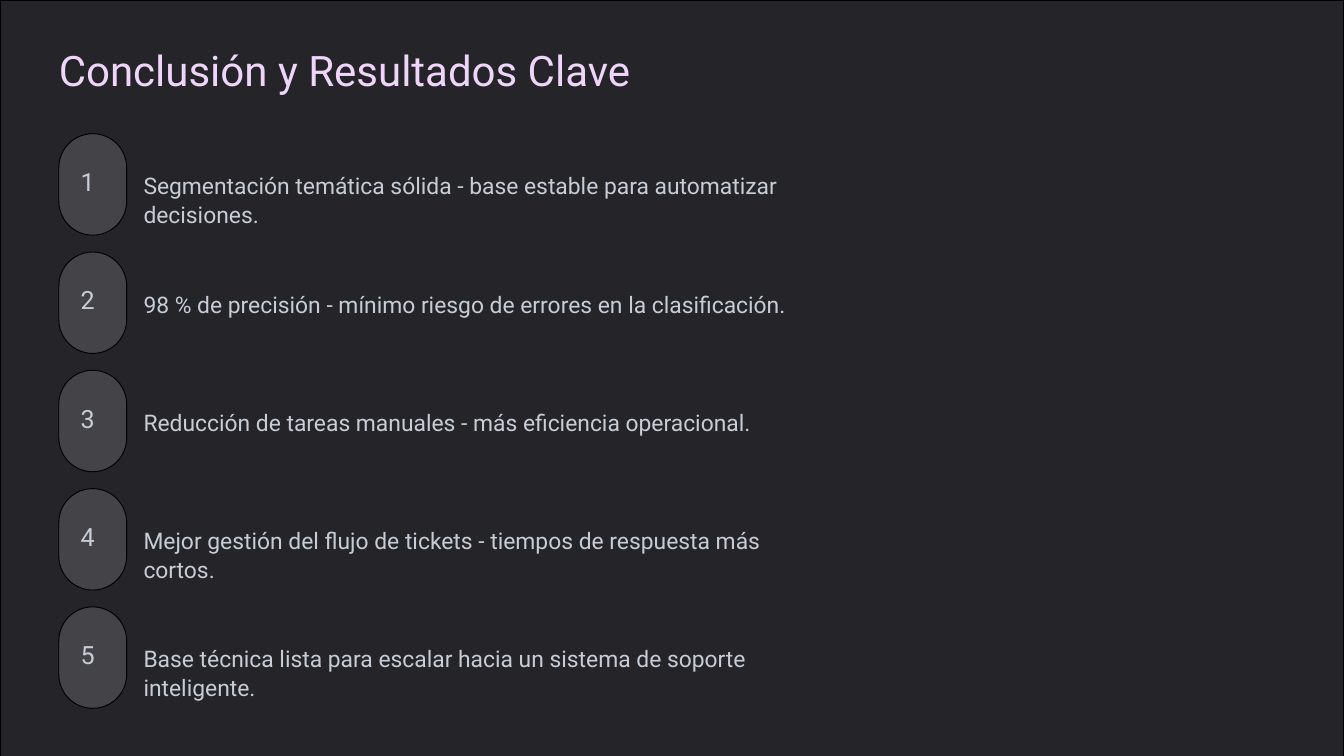
import pptx
import pptx.util
import pptx.dml.color
import pptx.enum.shapes
import pptx.enum.text
from dataclasses import dataclass

Pt = pptx.util.Pt
Kind = pptx.enum.shapes.MSO_SHAPE
SCALE = 9525  # EMU in one px
WIDE, HIGH = 1920, 1080


@dataclass(frozen=True)
class Theme:
    back: str = "181719"
    panel: str = "242429"
    pill: str = "434348"
    edge: str = "000000"
    title: str = "EFD5FA"
    body: str = "C7CDD6"
    font: str = "Roboto"
    big: tuple = (45, 56.2)  # type size and line height in points
    digit: tuple = (26.9, 26.9)
    item: tuple = (24.5, 30.6)


def px(*vals):
    return [val * SCALE for val in vals]


def paint(fill, tone):
    fill.solid()
    fill.fore_color.rgb = pptx.dml.color.RGBColor.from_string(tone)


def apply(part, form):
    for name, val in form.items():
        setattr(part, name, val)


class Deck:
    def __init__(self, theme, slide):
        self.theme, self.slide = theme, slide
        paint(slide.background.fill, theme.back)

    def shape(self, kind, box, tone):
        shape = self.slide.shapes.add_shape(kind, *px(*box))
        shape.shadow.inherit = False
        paint(shape.fill, tone)
        paint(shape.line.fill, self.theme.edge)
        shape.line.width = Pt(1)
        return shape

    def pill(self, box):
        self.shape(Kind.ROUNDED_RECTANGLE, box, self.theme.pill).adjustments[0] = 0.5

    def text(self, box, words, style, tone):
        size, lead = style
        frame = self.slide.shapes.add_textbox(*px(*box)).text_frame
        apply(frame, {
            "margin_left": 0, "margin_top": 0,
            "margin_right": 0, "margin_bottom": 0,
            "word_wrap": True,
            "auto_size": pptx.enum.text.MSO_AUTO_SIZE.SHAPE_TO_FIT_TEXT,
        })
        para = frame.paragraphs[0]
        para.line_spacing = Pt(lead)
        run = para.add_run()
        run.text = words
        apply(run.font, {"name": self.theme.font, "size": Pt(size)})
        paint(run.font.fill, tone)


ITEMS = [
    "Segmentación temática sólida - base estable para automatizar decisiones.",
    "98 % de precisión - mínimo riesgo de errores en la clasificación.",
    "Reducción de tareas manuales - más eficiencia operacional.",
    "Mejor gestión del flujo de tickets - tiempos de respuesta más cortos.",
    "Base técnica lista para escalar hacia un sistema de soporte inteligente.",
]
LEFT, TOP, STEP = 84, 191, 169


def main():
    show = pptx.Presentation()
    show.slide_width, show.slide_height = px(WIDE, HIGH)
    theme = Theme()
    deck = Deck(theme, show.slides.add_slide(show.slide_layouts[6]))

    # Panel and title
    deck.shape(Kind.RECTANGLE, (0, 0, WIDE, HIGH), theme.panel)
    deck.text((LEFT, 61, 830, 77), "Conclusión y Resultados Clave",
              theme.big, theme.title)

    # Numbered results
    for row, words in enumerate(ITEMS):
        top = TOP + row * STEP
        deck.pill((LEFT, top, 97, 145))
        deck.text((115, top + 54, 36, 41), str(row + 1), theme.digit, theme.body)
        deck.text((205, top + 53, 932, 40), words, theme.item, theme.body)

    show.save("out.pptx")


if __name__ == "__main__":
    main()
